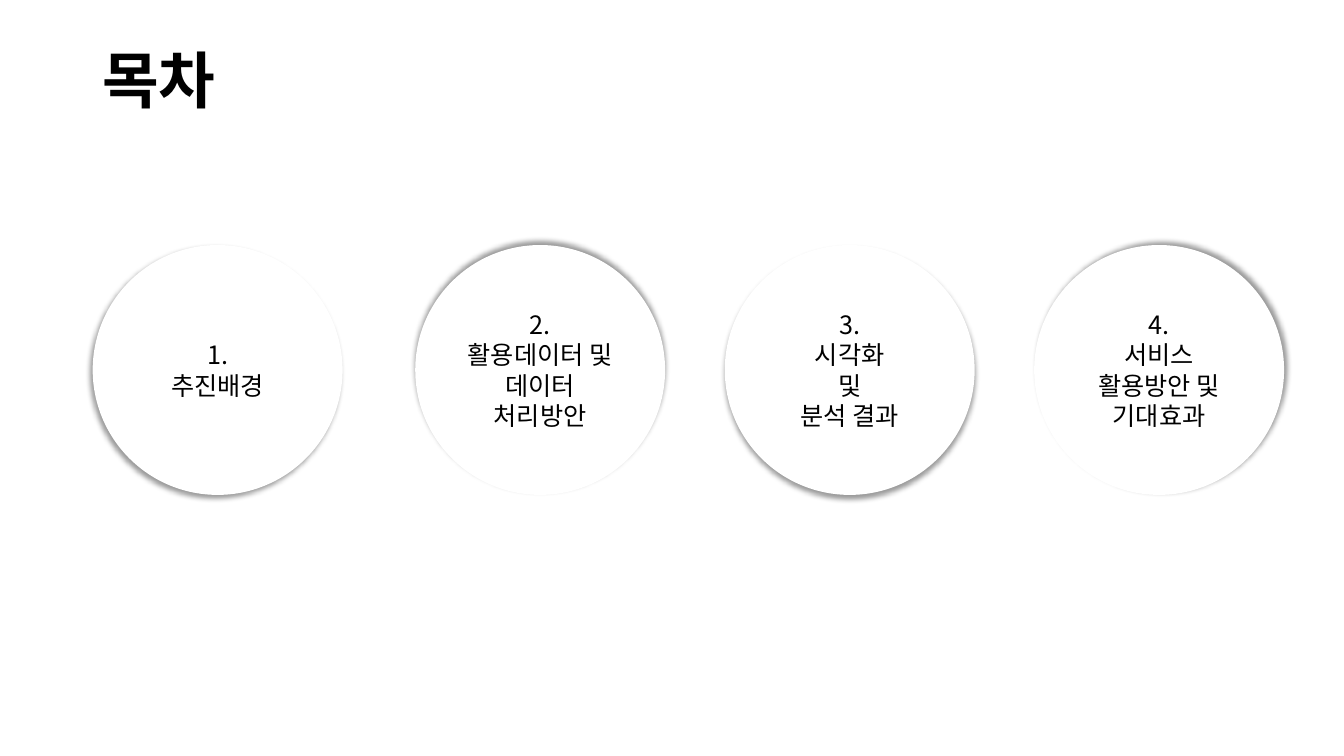
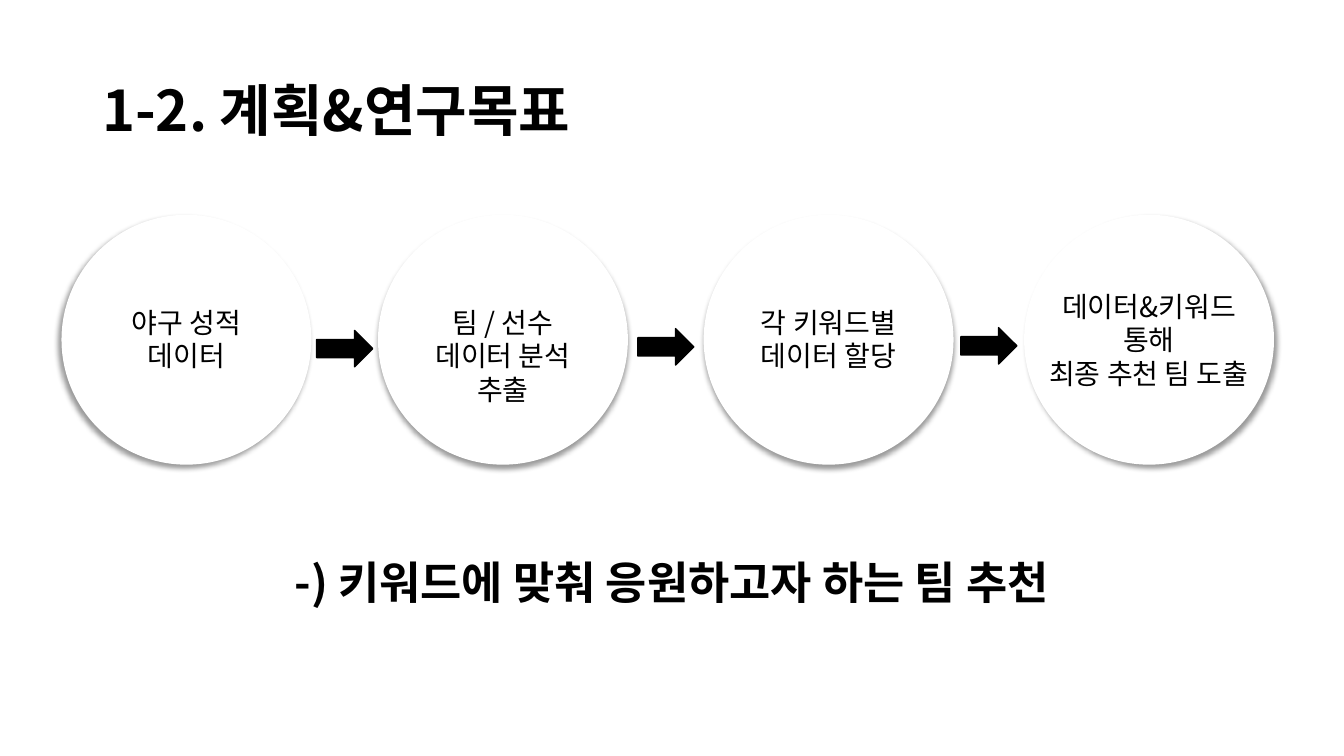
from lxml.etree import SubElement
from pptx import Presentation
from pptx.dml.color import RGBColor
from pptx.enum.shapes import MSO_SHAPE as Preset
from pptx.enum.text import MSO_ANCHOR as Anchor, PP_ALIGN as Align
from pptx.oxml.ns import qn
from pptx.util import Pt

FONT = "Noto Sans CJK KR"
BLACK = "000000"
WHITE = "FFFFFF"
CIRCLE_SIZE = 178.5
ARROW_WIDTH = 40
ARROW_HEIGHT = 26

AGENDA = [
    (66.2, 135, ["1.", "추진배경"]),
    (296.6, 270, ["2.", "활용데이터 및", "데이터 처리방안"]),
    (517.7, 90, ["3.", "시각화", "및", "분석 결과"]),
    (738.7, 315, ["4.", "서비스 활용방안 및", "기대효과"]),
]
STEPS = [
    (43.9, 135, 214.5, 105, ["야구 성적 데이터"]),
    (270, 90, 214.5, 128, ["팀 / 선수", "데이터 분석", "추출"]),
    (502.6, 90, 214.5, 148, ["각 키워드별 데이터 할당"]),
    (731.5, 45, 203, 205, ["데이터&키워드", "통해", "최종 추천 팀 도출"]),
]
ARROW_TOPS = [236, 234.7, 234]


def color(value):
    return RGBColor.from_string(value)


def write_text(shape, lines, size, bold=False, align=Align.CENTER, spacing=None):
    frame = shape.text_frame
    frame.word_wrap = True
    frame.text = "\n".join(lines)
    for paragraph in frame.paragraphs:
        paragraph.alignment = align
        paragraph.line_spacing = spacing
        font = paragraph.font
        font.size = Pt(size)
        font.bold = bold
        font.color.rgb = color(BLACK)
        font.name = FONT
        properties = paragraph._p.get_or_add_pPr().get_or_add_defRPr()
        SubElement(properties, qn("a:ea"), typeface=FONT)


def add_text(slide, left, top, width, height, lines, size, **style):
    box = slide.shapes.add_textbox(Pt(left), Pt(top), Pt(width), Pt(height))
    write_text(box, lines, size, **style)
    return box


def add_title(slide, top, text, size):
    title = add_text(slide, 66, top, 828, 104.4, [text], size,
                     bold=True, align=Align.LEFT, spacing=0.9)
    title.text_frame.vertical_anchor = Anchor.MIDDLE


def add_shadow(shape, angle):
    effects = shape._element.spPr.find(qn("a:effectLst"))
    shadow = SubElement(effects, qn("a:outerShdw"), blurRad=str(Pt(4)),
                        dist=str(Pt(3)), dir=str(angle * 60000),
                        algn="ctr", rotWithShape="0")
    shade = SubElement(shadow, qn("a:srgbClr"), val=BLACK)
    SubElement(shade, qn("a:alpha"), val="40000")


def add_filled(slide, preset, left, top, width, height, fill):
    shape = slide.shapes.add_shape(preset, Pt(left), Pt(top), Pt(width), Pt(height))
    shape.shadow.inherit = False
    shape.fill.solid()
    shape.fill.fore_color.rgb = color(fill)
    return shape


def add_circle(slide, left, top, angle):
    circle = add_filled(slide, Preset.OVAL, left, top, CIRCLE_SIZE, CIRCLE_SIZE, WHITE)
    circle.line.fill.background()
    add_shadow(circle, angle)
    return circle


def add_arrow(slide, center, top):
    arrow = add_filled(slide, Preset.RIGHT_ARROW, center - ARROW_WIDTH / 2, top,
                       ARROW_WIDTH, ARROW_HEIGHT, BLACK)
    arrow.line.color.rgb = color(BLACK)
    arrow.line.width = Pt(1)


def build_agenda(slide):
    add_title(slide, 7.2, "목차", 44)
    for left, angle, lines in AGENDA:
        circle = add_circle(slide, left, 175, angle)
        circle.text_frame.vertical_anchor = Anchor.MIDDLE
        write_text(circle, lines, 18)


def build_plan(slide):
    add_title(slide, 28.8, "1-2. 계획&연구목표", 40)
    for left, angle, label_top, label_width, lines in STEPS:
        add_circle(slide, left, 153.4, angle)
        label_left = left + (CIRCLE_SIZE - label_width) / 2
        add_text(slide, label_left, label_top, label_width, 80, lines, 20)
    for step, following, top in zip(STEPS, STEPS[1:], ARROW_TOPS):
        add_arrow(slide, (step[0] + CIRCLE_SIZE + following[0]) / 2, top)
    add_text(slide, 105, 393, 750, 46,
             ["-) 키워드에 맞춰 응원하고자 하는 팀 추천"], 32, bold=True)


def main():
    presentation = Presentation()
    presentation.slide_width = Pt(960)
    presentation.slide_height = Pt(540)
    blank = presentation.slide_layouts[6]
    for build in (build_agenda, build_plan):
        build(presentation.slides.add_slide(blank))
    presentation.save("out.pptx")


if __name__ == "__main__":
    main()
